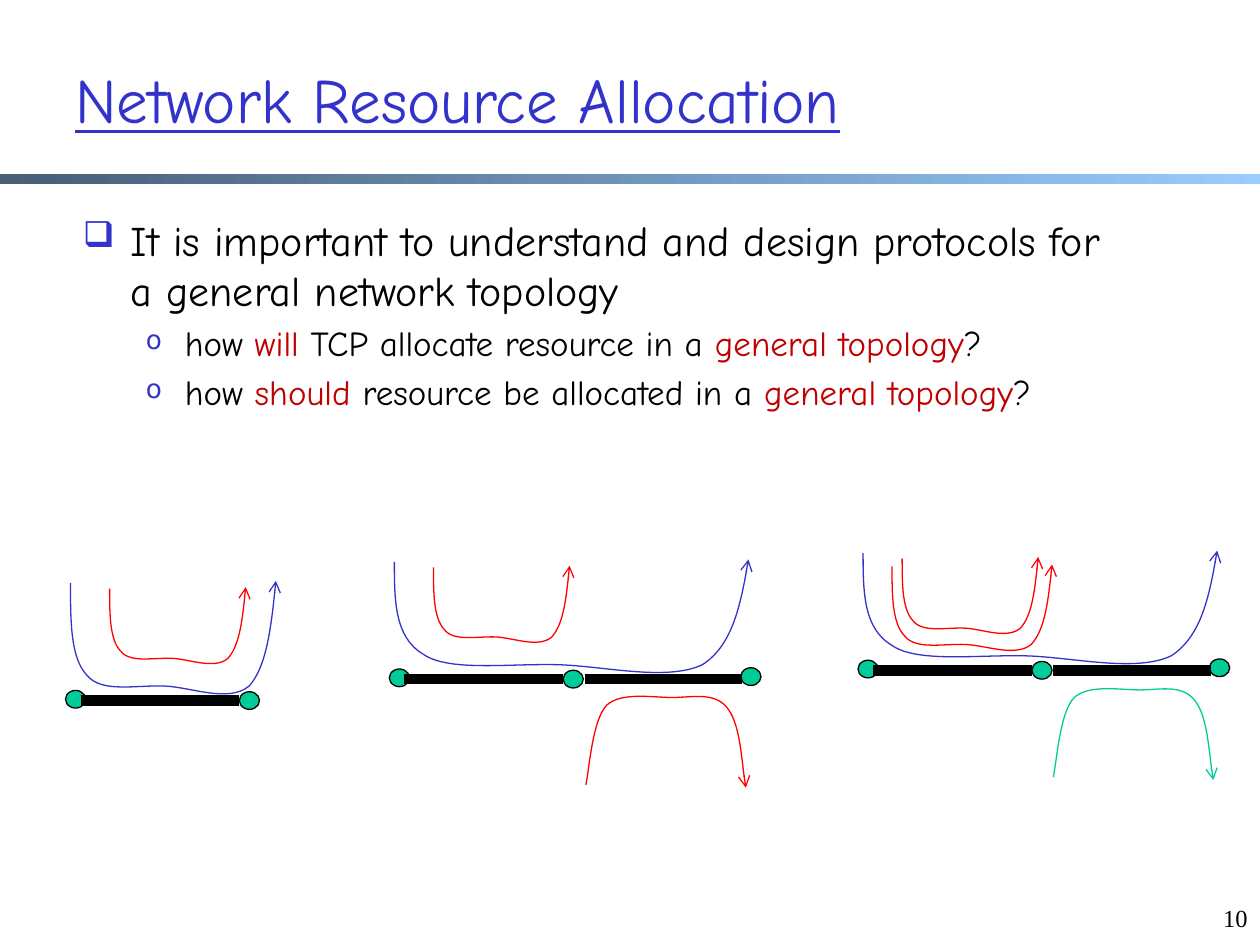
from dataclasses import dataclass

import pptx
import pptx.dml.color
import pptx.enum.shapes
import pptx.enum.text
import pptx.oxml
import pptx.oxml.ns
import pptx.util
from pptx.util import Inches


@dataclass(frozen=True)
class Theme:
    """Colours, fonts and sizes of the slide."""
    title: str = "3333CC"
    text: str = "000000"
    accent: str = "C00000"
    blue: str = "3333CC"
    red: str = "FF0000"
    green: str = "00CC99"
    bar_start: str = "475E76"
    bar_end: str = "99CCFF"
    font: str = "Comic Neue"
    number_font: str = "Times New Roman"
    title_size: float = 36
    body_size: float = 24
    sub_size: float = 20
    number_size: float = 14
    thin: float = 0.75
    thick: float = 6


@dataclass(frozen=True)
class Flow:
    """A curved arrow: its curve, its box relative to the network, its colour."""
    curve: list
    x: float
    y: float
    w: float
    h: float
    color: str


@dataclass(frozen=True)
class Network:
    """A chain of nodes placed at an origin, with the flows that cross it."""
    x: float
    y: float
    hops: int
    flows: list


T = Theme()

# Cubic curves in a unit box: a start point, then three points per segment.
CUP = [(0, .02), (0, .33), (0, .64), (.08, .78), (.15, .93), (.32, .86), (.46, .87),
       (.59, .88), (.77, 1.01), (.87, .87), (.95, .72), (.98, .36), (1, 0)]
ARCH = [(0, .96), (.02, .82), (.04, .29), (.13, .14), (.22, 0), (.42, .06), (.54, .06),
        (.66, .06), (.8, 0), (.88, .16), (.96, .31), (.98, .82), (1, .99)]

NODE_X = (-0.04, 1.34, 2.75)
NODE_Y = (0.87, 0.88, 0.86)
NODE_W, NODE_H = 0.16, 0.14
LINKS = ((0.08, 1.34), (1.51, 2.76))
LINK_Y = 0.95

SHORT_FLOW = Flow(CUP, 0.31, 0.05, 1.08, 0.65, T.red)
LONG_FLOW = Flow(CUP, 0, 0, 2.81, 0.96, T.blue)
NETWORKS = [
    Network(0.56, 4.61, 1, [Flow(CUP, 0, 0, 1.63, 0.96, T.blue), SHORT_FLOW]),
    Network(3.13, 4.44, 2, [LONG_FLOW, Flow(ARCH, 1.52, 1.05, 1.27, 0.77, T.red),
                            SHORT_FLOW]),
    Network(6.85, 4.37, 2, [LONG_FLOW, Flow(CUP, 0.23, 0.11, 1.27, 0.73, T.red),
                            Flow(ARCH, 1.51, 1.06, 1.27, 0.77, T.green), SHORT_FLOW]),
]


def rgb(color: str) -> pptx.dml.color.RGBColor:
    """Turn a hex string into a colour."""
    return pptx.dml.color.RGBColor.from_string(color)


def add_run(p, text: str, *, size: float, color: str = T.text, font: str = T.font,
            underline: bool = False) -> None:
    """Append formatted text to a paragraph."""
    r = p.add_run()
    r.text = text
    r.font.size = pptx.util.Pt(size)
    r.font.name = font
    r.font.color.rgb = rgb(color)
    if underline:
        r.font.underline = True


def add_box(s, x: float, y: float, w: float, h: float):
    """Add a wrapping text box and return its text frame."""
    tf = s.shapes.add_textbox(Inches(x), Inches(y), Inches(w), Inches(h)).text_frame
    tf.word_wrap = True
    return tf


def set_bullet(p, char: str, percent: int, margin: float, hang: float) -> None:
    """Give a paragraph a coloured bullet with a hanging indent."""
    ppr = p._p.get_or_add_pPr()
    ppr.set("marL", str(Inches(margin)))
    ppr.set("indent", str(-Inches(hang)))
    ns = pptx.oxml.ns.nsdecls("a")
    for xml in (f'<a:buClr {ns}><a:srgbClr val="{T.title}"/></a:buClr>',
                f'<a:buSzPct {ns} val="{percent * 1000}"/>',
                f'<a:buChar {ns} char="{char}"/>'):
        ppr.append(pptx.oxml.parse_xml(xml))


def add_bar(s) -> None:
    """Draw the gradient bar below the title."""
    sp = s.shapes.add_shape(pptx.enum.shapes.MSO_SHAPE.RECTANGLE,
                            0, Inches(1.38), Inches(10), Inches(0.08))
    sp.shadow.inherit = False
    sp.line.fill.background()
    sp.fill.gradient()
    sp.fill.gradient_angle = 0
    for stop, color in zip(sp.fill.gradient_stops, (T.bar_start, T.bar_end)):
        stop.color.rgb = rgb(color)


def add_body(s) -> None:
    """Write the main point and its two questions."""
    tf = add_box(s, 0.56, 1.65, 8.5, 5.08)
    p = tf.paragraphs[0]
    p.space_before = pptx.util.Pt(0.2 * T.body_size)
    set_bullet(p, "\u2751", 85, 0.38, 0.38)
    add_run(p, "It is important to understand and design protocols for "
               "a general network topology", size=T.body_size)
    for verb, rest in (("will ", "TCP allocate resource in a "),
                       ("should ", "resource be allocated in a ")):
        p = tf.add_paragraph()
        p.level = 1
        p.space_before = pptx.util.Pt(0.2 * T.sub_size)
        set_bullet(p, "o", 75, 0.81, 0.31)
        for text, color in (("how ", T.text), (verb, T.accent), (rest, T.text),
                            ("general topology", T.accent), ("?", T.text)):
            add_run(p, text, size=T.sub_size, color=color)


def add_node(s, x: float, y: float) -> None:
    """Draw one network node."""
    sp = s.shapes.add_shape(pptx.enum.shapes.MSO_SHAPE.OVAL,
                            Inches(x), Inches(y), Inches(NODE_W), Inches(NODE_H))
    sp.shadow.inherit = False
    sp.fill.solid()
    sp.fill.fore_color.rgb = rgb(T.green)
    sp.line.color.rgb = rgb(T.text)
    sp.line.width = pptx.util.Pt(T.thin)


def add_link(s, x1: float, x2: float, y: float) -> None:
    """Draw one thick horizontal link."""
    c = s.shapes.add_connector(pptx.enum.shapes.MSO_CONNECTOR.STRAIGHT,
                               Inches(x1), Inches(y), Inches(x2), Inches(y))
    c.line.color.rgb = rgb(T.text)
    c.line.width = pptx.util.Pt(T.thick)
    pptx.oxml.ns.qn("a:effectLst")
    c._element.spPr.append(
        pptx.oxml.parse_xml(f'<a:effectLst {pptx.oxml.ns.nsdecls("a")}/>'))


def add_flow(s, flow: Flow, x: float, y: float) -> None:
    """Draw a flow as a smooth open curve with an arrowhead."""
    pts = [(Inches(x + flow.x + u * flow.w), Inches(y + flow.y + v * flow.h))
           for u, v in flow.curve]
    fb = s.shapes.build_freeform(*pts[0])
    fb.add_line_segments(pts[1:], close=False)
    sp = fb.convert_to_shape()
    qn, ns = pptx.oxml.ns.qn, pptx.oxml.ns.nsdecls("a")
    outline = next(sp._element.iter(qn("a:path")))
    steps = outline.findall(qn("a:lnTo"))
    for i in range(0, len(steps), 3):
        cubic = pptx.oxml.parse_xml(f"<a:cubicBezTo {ns}/>")
        for step in steps[i:i + 3]:
            cubic.append(step[0])
            outline.remove(step)
        outline.append(cubic)
    sp.shadow.inherit = False
    sp.fill.background()
    sp.line.color.rgb = rgb(flow.color)
    sp.line.width = pptx.util.Pt(T.thin)
    sp.line._get_or_add_ln().append(
        pptx.oxml.parse_xml(f'<a:tailEnd {ns} type="arrow"/>'))


def add_network(s, net: Network) -> None:
    """Draw the nodes, links and flows of one network."""
    for dx, dy in list(zip(NODE_X, NODE_Y))[:net.hops + 1]:
        add_node(s, net.x + dx, net.y + dy)
    for x1, x2 in LINKS[:net.hops]:
        add_link(s, net.x + x1, net.x + x2, net.y + LINK_Y)
    for flow in net.flows:
        add_flow(s, flow, net.x, net.y)


prs = pptx.Presentation()
prs.slide_width, prs.slide_height = Inches(10), Inches(7.5)
s = prs.slides.add_slide(prs.slide_layouts[6])
add_bar(s)
p = add_box(s, 9.5, 7.12, 0.5, 0.5).paragraphs[0]
p.alignment = pptx.enum.text.PP_ALIGN.RIGHT
add_run(p, "10", size=T.number_size, font=T.number_font)
tf = add_box(s, 0.5, 0.31, 8.5, 0.94)
tf.vertical_anchor = pptx.enum.text.MSO_ANCHOR.MIDDLE
add_run(tf.paragraphs[0], "Network Resource Allocation", size=T.title_size,
        color=T.title, underline=True)
add_body(s)
for net in NETWORKS:
    add_network(s, net)
prs.save("out.pptx")
